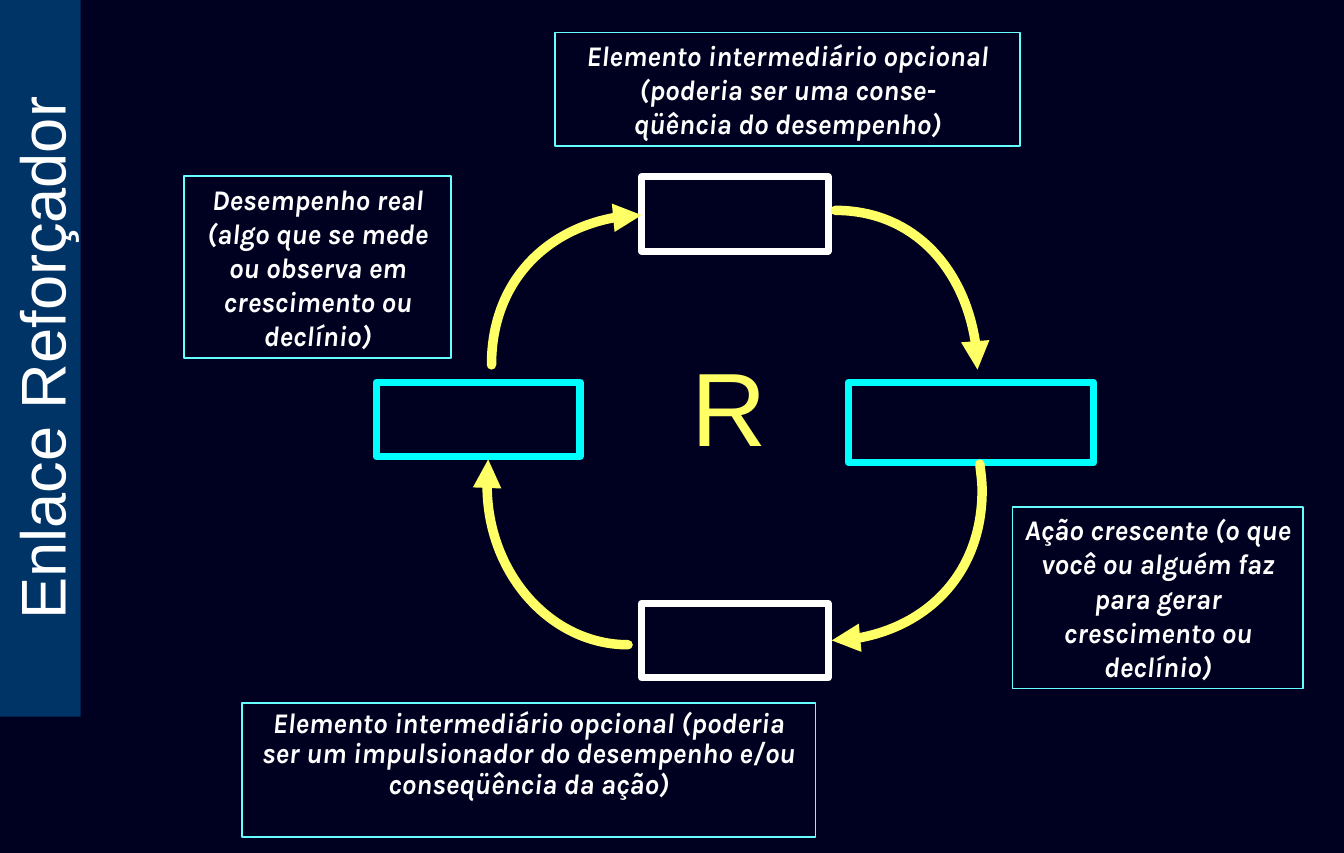
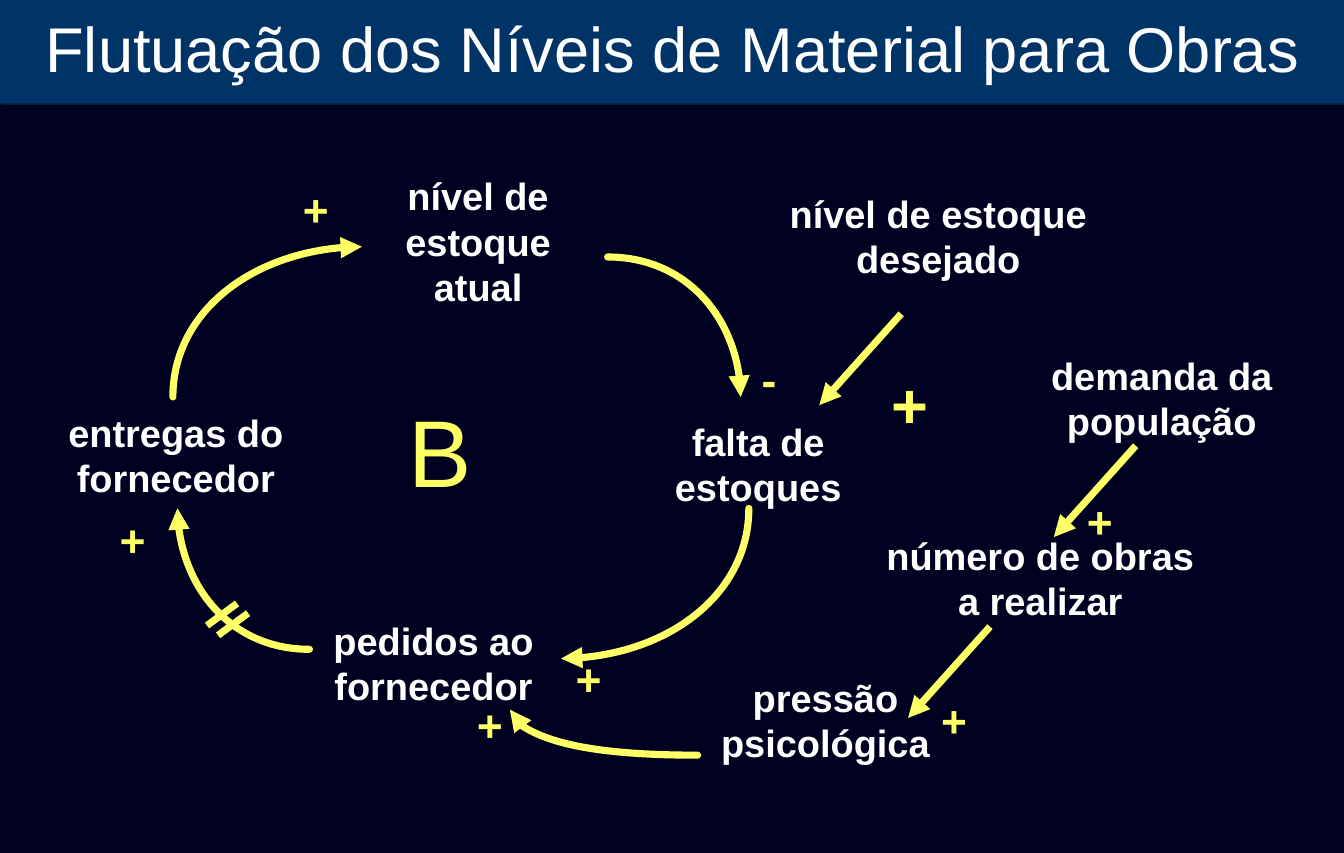
from dataclasses import dataclass

from pptx import Presentation
from pptx import util as u
from pptx.dml.color import RGBColor
from pptx.enum import shapes, text
from pptx.oxml import ns, xmlchemy

WIDTH, HEIGHT = 850.39, 540
NIGHT, BAND, WHITE = "000020", "003366", "FFFFFF"
YELLOW, CYAN, PALE_CYAN, SHADE = "FFFF66", "00FFFF", "66FFFF", "001F3D"
ROUNDNESS = 0.55  # Bézier handle length of a quarter ellipse


def color(hex_code):
    return RGBColor.from_string(hex_code)


def points(*lengths):
    return [u.Pt(length) for length in lengths]


def add_node(parent, tag, **attributes):
    node = xmlchemy.OxmlElement(tag)
    for name, value in attributes.items():
        node.set(name, value)
    parent.append(node)
    return node


def write(shape, lines, size, ink=WHITE, font="Arial", bold=False, italic=False,
          wrap=False, spacing=None, align=text.PP_ALIGN.CENTER,
          anchor=text.MSO_ANCHOR.TOP):
    """Fill a shape with one paragraph for each line."""
    frame = shape.text_frame
    frame.auto_size = text.MSO_AUTO_SIZE.NONE
    frame.word_wrap = wrap
    frame.vertical_anchor = anchor
    frame.margin_left = frame.margin_right = u.Pt(7.2)
    frame.margin_top = frame.margin_bottom = u.Pt(3.6)
    for index, line in enumerate(lines):
        para = frame.add_paragraph() if index else frame.paragraphs[0]
        para.alignment = align
        para.space_before = u.Pt(0)
        if spacing:
            para.line_spacing = spacing
        span = para.add_run()
        span.text = line
        span.font.name, span.font.size = font, u.Pt(size)
        span.font.bold, span.font.italic = bold, italic
        span.font.color.rgb = color(ink)


def style_stroke(shape, weight, arrow=True, cap="flat"):
    """Give a curve or connector its yellow line, arrowhead and no shadow."""
    shape.line.color.rgb = color(YELLOW)
    shape.line.width = u.Pt(weight)
    properties = shape._element.spPr
    line = properties.find(ns.qn("a:ln"))
    line.set("cap", cap)
    if arrow:
        add_node(line, "a:tailEnd", type="triangle")
    add_node(properties, "a:effectLst")


def quarter(start, end, level_start):
    """Points of a quarter ellipse that leaves its start level or upright."""
    (x1, y1), (x2, y2) = start, end
    dx, dy = (x2 - x1) * ROUNDNESS, (y2 - y1) * ROUNDNESS
    if level_start:
        return [start, (x1 + dx, y1), (x2, y2 - dy), end]
    return [start, (x1, y1 + dy), (x2 - dx, y2), end]


@dataclass
class Region:
    """A part of a page; positions inside it count from its top left corner."""
    page: object
    left: float
    top: float

    def spot(self, x, y):
        return points(self.left + x, self.top + y)

    def label(self, x, y, width, height, lines, size=24, turned=False, **style):
        box = self.page.shapes.add_textbox(*self.spot(x, y), *points(width, height))
        box.rotation = 180 if turned else 0
        write(box, lines, size, **style)

    def sign(self, x, y, mark="+", turned=False):
        self.label(x, y, 31, 40, [mark], 28, turned, ink=YELLOW, bold=True)

    def frame(self, x, y, width, height, ink, weight):
        box = self.page.shapes.add_shape(
            shapes.MSO_SHAPE.RECTANGLE, *self.spot(x, y), *points(width, height))
        box.shadow.inherit = False
        box.fill.background()
        box.line.color.rgb = color(ink)
        box.line.width = u.Pt(weight)
        return box

    def curve(self, track, weight):
        """Draw Bézier segments through a start and groups of three points."""
        start, *others = [self.spot(*point) for point in track]
        builder = self.page.shapes.build_freeform(*start)
        builder.add_line_segments(others, close=False)
        shape = builder.convert_to_shape()
        steps = list(shape._element.iter(ns.qn("a:lnTo")))
        for first in range(0, len(steps), 3):
            bend = xmlchemy.OxmlElement("a:cubicBezTo")
            steps[first].addprevious(bend)
            for step in steps[first:first + 3]:
                bend.append(step[0])
                step.getparent().remove(step)
        shape.fill.background()
        style_stroke(shape, weight, cap="rnd")

    def stroke(self, x, y, dx, dy, arrow=True):
        line = self.page.shapes.add_connector(
            shapes.MSO_CONNECTOR.STRAIGHT, *self.spot(x, y), *self.spot(x + dx, y + dy))
        style_stroke(line, 4.5, arrow)


def add_page(deck, title, width, height, upright=False, spacing=None):
    """Add a page whose title band, as seen, starts at the top left corner."""
    page = deck.slides.add_slide(deck.slide_layouts[5])
    band = page.shapes.title
    long, short = (height, width) if upright else (width, height)
    band.left, band.top = points((width - long) / 2, (height - short) / 2)
    band.width, band.height = points(long, short)
    band.rotation = 270 if upright else 0
    band.fill.solid()
    band.fill.fore_color.rgb = color(BAND)
    write(band, [title], 40, wrap=True, spacing=spacing, anchor=text.MSO_ANCHOR.MIDDLE)
    return page


def add_band_shadow(band):
    band.shadow.inherit = False
    effects = band._element.spPr.find(ns.qn("a:effectLst"))
    shadow = add_node(effects, "a:outerShdw", dist="17780", dir="2700000", algn="ctr",
                      rotWithShape="0")
    add_node(shadow, "a:srgbClr", val=SHADE)


def draw_reinforcing_loop(page, left, top):
    loop = Region(page, left, top)
    loop.label(192.5, 101, 62, 86, ["R"], 66, ink=YELLOW)
    for x, y, width, height, ink in [
        (299, 130, 155, 51, CYAN),
        (0, 130, 129, 47, CYAN),
        (168, 0, 118, 47, WHITE),
        (168, 270, 118, 47, WHITE),
    ]:
        loop.frame(x, y, width, height, ink, 4.5)
    for track in [
        quarter((73, 119), (168, 24.2), False),
        quarter((290.5, 21.2), (380.5, 122), True),
        [(382, 181.8), (382.6, 187.5), (383.4, 192.6)]
        + quarter((383.4, 198.3), (288.3, 293.4), False),
        quarter((159.4, 296.2), (70.2, 195.4), True)
        + [(70.2, 189.7), (70.2, 183.9), (70.9, 178.9)],
    ]:
        loop.curve(track, 6)


def draw_callouts(page):
    sheet = Region(page, 0, 0)
    for box, lines, wrap, spacing in [
        ((116.5, 111.5, 169, 115),
         ["Desempenho real", "(algo que se mede", "ou observa em",
          "crescimento ou", "declínio)"], False, None),
        ((351, 20.5, 294.5, 72),
         ["Elemento intermediário opcional", "(poderia ser uma conse-",
          "qüência do desempenho)"], False, None),
        ((640.6, 320.8, 184, 115),
         ["Ação crescente (o que você ou alguém faz para gerar "
          "crescimento ou declínio)"], True, None),
        ((153, 445, 363, 85),
         ["Elemento intermediário opcional (poderia ser um impulsionador "
          "do desempenho e/ou conseqüência da ação)"], True, 0.9),
    ]:
        write(sheet.frame(*box, PALE_CYAN, 1), lines, 18, font="Karla", bold=True,
              italic=True, wrap=wrap, spacing=spacing)


def draw_stock_loop(page, left, top):
    loop = Region(page, left, top)
    loop.sign(148.3, 5.6)
    loop.sign(435, 113.6, "-")
    loop.sign(321, 307.3, turned=True)
    loop.sign(32.4, 219.4, turned=True)
    loop.label(215.3, 138.8, 54, 79, ["B"], 60, ink=YELLOW)
    for x, y, width, height, lines in [
        (213, 0, 107, 94, ["nível de", "estoque", "atual"]),
        (384, 155.4, 119.5, 65, ["falta de", "estoques"]),
        (0, 149.6, 150.5, 65, ["entregas do", "fornecedor"]),
        (167.8, 281.4, 141, 65, ["pedidos ao", "fornecedor"]),
    ]:
        loop.label(x, y, width, height, lines, bold=True)
    for start, end, level_start in [
        ((348.5, 56.7), (432.7, 145.3), True),
        ((73.4, 145.3), (193, 50.2), False),
        ((437.8, 215.8), (319, 310.9), False),
        ((159.8, 305.1), (76.3, 215.8), True),
    ]:
        loop.curve(quarter(start, end, level_start), 4.5)
    for x, y in [(95, 290), (102, 296.2)]:  # delay mark
        loop.stroke(x, y, 19, -14, arrow=False)


def draw_demand_chain(page, left, top):
    chain = Region(page, left, top)
    for x, y, width, lines in [
        (198.5, 0, 202.3, ["nível de estoque", "desejado"]),
        (364.1, 102.6, 154, ["demanda da", "população"]),
        (259.7, 216.4, 209, ["número de obras", "a realizar"]),
        (155.3, 306.4, 146, ["pressão", "psicológica"]),
    ]:
        chain.label(x, y, width, 65, lines, bold=True)
    for x, y in [(276.2, 81.7), (424.6, 165.2), (332.4, 279.7)]:
        chain.stroke(x, y, -51.8, 57.8)
    chain.curve(quarter((147.4, 361.1), (28.6, 332.3), True), 4.5)
    chain.label(263.3, 110.5, 37.5, 55, ["+"], 40, ink=YELLOW, bold=True)
    chain.sign(0.5, 325.8, turned=True)
    chain.sign(294.2, 318.6)
    chain.sign(386.4, 192.6)


def main():
    deck = Presentation()
    deck.slide_width, deck.slide_height = points(WIDTH, HEIGHT)
    backdrop = deck.slide_master.background.fill
    backdrop.solid()
    backdrop.fore_color.rgb = color(NIGHT)

    page = add_page(deck, "Enlace Reforçador", 51, 453.6, upright=True)
    draw_callouts(page)
    draw_reinforcing_loop(page, 238, 112)

    page = add_page(deck, "Flutuação dos Níveis de Material para Obras", WIDTH, 65.5,
                    spacing=0.9)
    add_band_shadow(page.shapes.title)
    draw_stock_loop(page, 36, 106)
    draw_demand_chain(page, 294, 117)

    deck.save("out.pptx")


if __name__ == "__main__":
    main()
